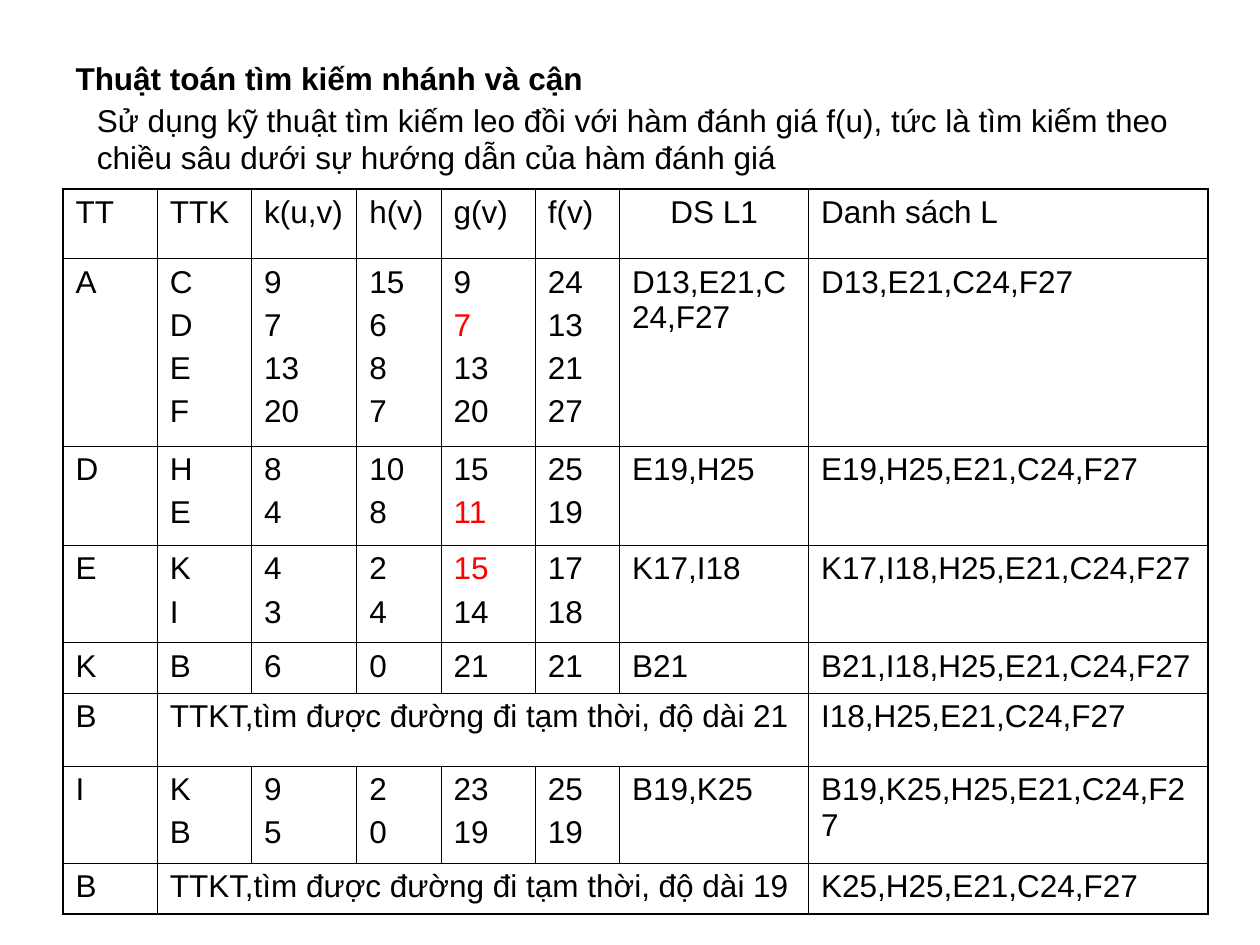
from lxml import etree
from pptx import Presentation
from pptx.dml.color import RGBColor
from pptx.enum.text import MSO_ANCHOR, MSO_AUTO_SIZE, PP_ALIGN
from pptx.oxml.ns import qn
from pptx.util import Cm, Pt

LEFT, CENTER = PP_ALIGN.LEFT, PP_ALIGN.CENTER
TOP = MSO_ANCHOR.TOP
NO_AUTOFIT = MSO_AUTO_SIZE.NONE

BLACK = RGBColor(0x00, 0x00, 0x00)
RED = RGBColor(0xFF, 0x00, 0x00)
FONT, FONT_SIZE = "Arial", Pt(18)
THIN, THICK = Pt(0.45), Pt(1.08)

HEADING = "Thuật toán tìm kiếm nhánh và cận"
DESCRIPTION = (
    "Sử dụng kỹ thuật tìm kiếm leo đồi với hàm đánh giá f(u), tức là tìm kiếm theo "
    "chiều sâu dưới sự hướng dẫn của hàm đánh giá"
)
COLUMNS = ("TT", "TTK", "k(u,v)", "h(v)", "g(v)", "f(v)", "DS L1", "Danh sách L")
COLUMN_WIDTHS = (1.9, 1.9, 2.12, 1.7, 1.9, 1.7, 3.81, 8.05)
L1_COLUMN, G_COLUMN = COLUMNS.index("DS L1"), COLUMNS.index("g(v)")

# State, successors as (TTK, k, h, g, f) or a message, list L1, list L, row height
STEPS = [
    ("A", [("C", 9, 15, 9, 24), ("D", 7, 6, 7, 13), ("E", 13, 8, 13, 21), ("F", 20, 7, 20, 27)],
     "D13,E21,C24,F27", "D13,E21,C24,F27", 3.78),
    ("D", [("H", 8, 10, 15, 25), ("E", 4, 8, 11, 19)],
     "E19,H25", "E19,H25,E21,C24,F27", 2),
    ("E", [("K", 4, 2, 15, 17), ("I", 3, 4, 14, 18)],
     "K17,I18", "K17,I18,H25,E21,C24,F27", 1.96),
    ("K", [("B", 6, 0, 21, 21)],
     "B21", "B21,I18,H25,E21,C24,F27", 1.02),
    ("B", "TTKT,tìm được đường đi tạm thời, độ dài 21",
     None, "I18,H25,E21,C24,F27", 1.47),
    ("I", [("K", 9, 2, 23, 25), ("B", 5, 0, 19, 19)],
     "B19,K25", "B19,K25,H25,E21,C24,F27", 1.96),
    ("B", "TTKT,tìm được đường đi tạm thời, độ dài 19",
     None, "K25,H25,E21,C24,F27", 1.02),
]
HEADER_HEIGHT = 1.4
RED_G_VALUES = {("A", 7), ("D", 11), ("E", 15)}


def write_lines(frame, lines, space_before, align=LEFT, bold=False, red_lines=()):
    for index, line in enumerate(lines):
        paragraph = frame.paragraphs[0] if index == 0 else frame.add_paragraph()
        paragraph.alignment = align
        paragraph.space_before = space_before
        run = paragraph.add_run()
        run.text = str(line)
        font = run.font
        font.name, font.size, font.bold = FONT, FONT_SIZE, bold
        font.color.rgb = RED if line in red_lines else BLACK


def fill_placeholder(placeholder, text, left, top, width, height, bold=False):
    placeholder.left, placeholder.top = Cm(left), Cm(top)
    placeholder.width, placeholder.height = Cm(width), Cm(height)
    frame = placeholder.text_frame
    frame.word_wrap = True
    frame.auto_size = NO_AUTOFIT
    frame.vertical_anchor = TOP
    write_lines(frame, [text], Pt(11.2), bold=bold)


def remove_bullet(paragraph):
    properties = paragraph._p.get_or_add_pPr()
    properties.set("marL", "0")
    properties.set("indent", "0")
    etree.SubElement(properties, qn("a:buNone"))


def draw_borders(cell, widths):
    """Add solid black borders; widths maps L, R, T and B, in that order."""
    properties = cell._tc.get_or_add_tcPr()
    for side, width in widths.items():
        line = etree.SubElement(properties, qn(f"a:ln{side}"), w=str(int(width)))
        fill = etree.SubElement(line, qn("a:solidFill"))
        etree.SubElement(fill, qn("a:srgbClr"), val=str(BLACK))


def fill_step(table, row, step):
    state, successors, list_l1, list_l, _ = step
    write_lines(table.cell(row, 0).text_frame, [state], Pt(4.5))
    write_lines(table.cell(row, len(COLUMNS) - 1).text_frame, [list_l], Pt(4.5))
    if list_l1 is None:
        table.cell(row, 1).merge(table.cell(row, L1_COLUMN))
        write_lines(table.cell(row, 1).text_frame, [successors], Pt(4.5))
        return
    write_lines(table.cell(row, L1_COLUMN).text_frame, [list_l1], Pt(4.5))
    for column, values in enumerate(zip(*successors), start=1):
        red = [v for v in values if column == G_COLUMN and (state, v) in RED_G_VALUES]
        write_lines(table.cell(row, column).text_frame, values, Pt(4.5), red_lines=red)


def add_search_table(slide):
    heights = [HEADER_HEIGHT] + [step[-1] for step in STEPS]
    table = slide.shapes.add_table(
        len(heights), len(COLUMNS), Cm(1.27), Cm(3.81),
        Cm(sum(COLUMN_WIDTHS)), Cm(sum(heights)),
    ).table
    table.first_row = table.horz_banding = False
    for column, width in zip(table.columns, COLUMN_WIDTHS):
        column.width = Cm(width)
    for row, height in zip(table.rows, heights):
        row.height = Cm(height)

    for column, label in enumerate(COLUMNS):
        align = CENTER if column == L1_COLUMN else LEFT
        write_lines(table.cell(0, column).text_frame, [label], Pt(4.5), align)
    for row, step in enumerate(STEPS, start=1):
        fill_step(table, row, step)

    last_row, last_column = len(heights) - 1, len(COLUMNS) - 1
    for row in range(len(heights)):
        for column in range(len(COLUMNS)):
            cell = table.cell(row, column)
            draw_borders(cell, {
                "L": THICK if column == 0 else THIN,
                "R": THICK if column == last_column else THIN,
                "T": THICK if row == 0 else THIN,
                "B": THICK if row == last_row else THIN,
            })
            cell.fill.background()


def main():
    presentation = Presentation()
    presentation.slide_width, presentation.slide_height = Cm(25.4), Cm(19.05)
    slide = presentation.slides.add_slide(presentation.slide_layouts[1])
    heading, description = slide.placeholders
    fill_placeholder(heading, HEADING, 1.27, 1.07, 11.63, 1.02, bold=True)
    fill_placeholder(description, DESCRIPTION, 1.7, 1.9, 22.86, 1.78)
    remove_bullet(description.text_frame.paragraphs[0])
    add_search_table(slide)
    presentation.save("out.pptx")


if __name__ == "__main__":
    main()
